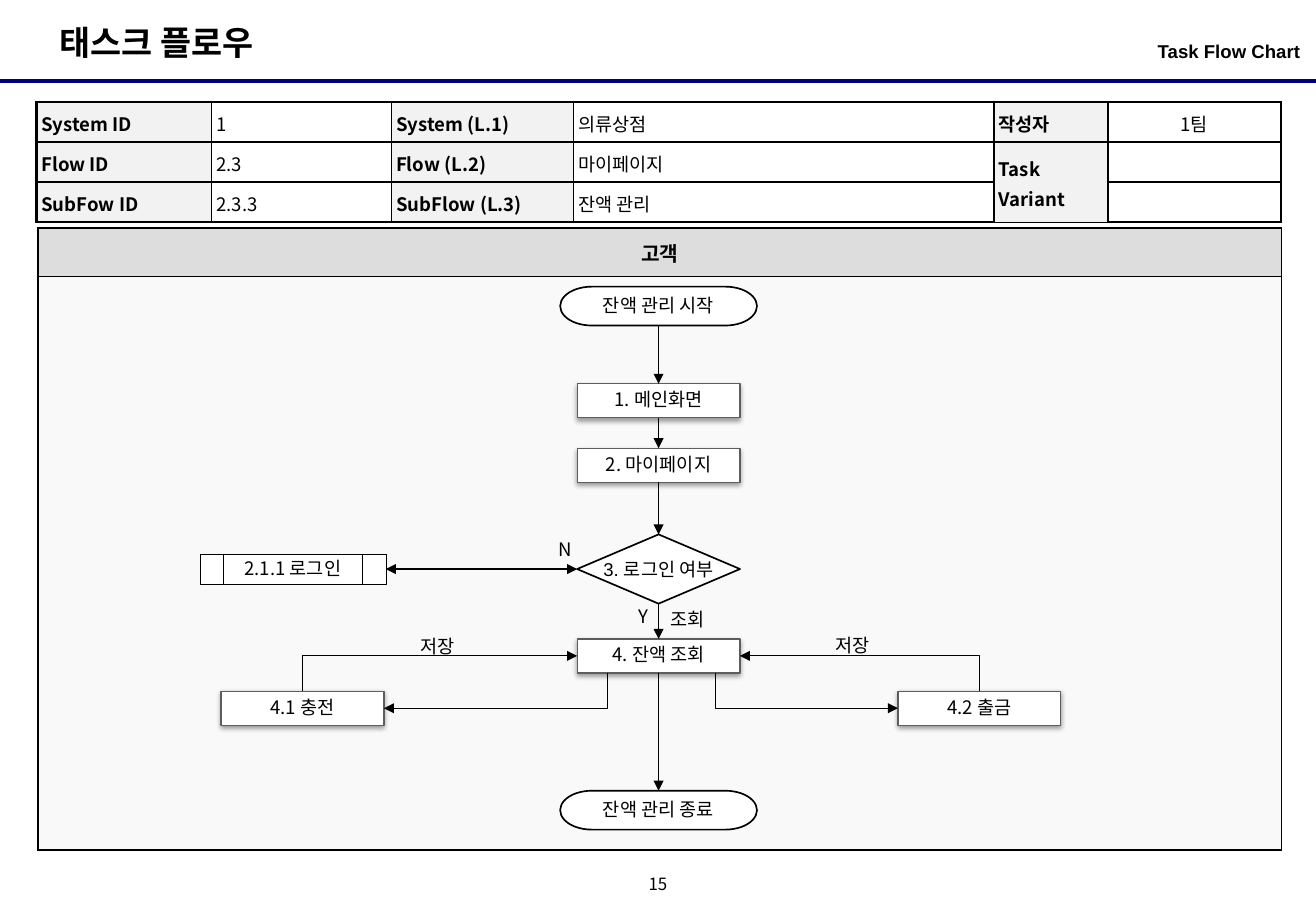
from lxml import etree
from pptx import Presentation
from pptx.dml.color import RGBColor
from pptx.enum.shapes import MSO_CONNECTOR, MSO_SHAPE
from pptx.enum.text import MSO_ANCHOR, PP_ALIGN
from pptx.oxml.ns import qn
from pptx.util import Inches, Pt

LINE, ELBOW = MSO_CONNECTOR.STRAIGHT, MSO_CONNECTOR.ELBOW
OVAL = MSO_SHAPE.FLOWCHART_TERMINATOR
STEP = MSO_SHAPE.FLOWCHART_PROCESS
TEST = MSO_SHAPE.FLOWCHART_DECISION
CALL = MSO_SHAPE.FLOWCHART_PREDEFINED_PROCESS
LEFT, MID, RIGHT = PP_ALIGN.LEFT, PP_ALIGN.CENTER, PP_ALIGN.RIGHT
TOP, HALF = MSO_ANCHOR.TOP, MSO_ANCHOR.MIDDLE
NOTO, ARIAL = "Noto Sans CJK KR", "Arial"
BLACK, WHITE, GRAY = "000000", "FFFFFF", "F2F2F2"


def paint(target, color):
    """Fill a shape, cell, line or font with a hex colour."""
    fill = target if hasattr(target, "solid") else target.fill
    fill.solid()
    fill.fore_color.rgb = RGBColor.from_string(color)


def add(parent, tag, **attrs):
    """Append a drawing element to its parent."""
    node = etree.SubElement(parent, qn(tag))
    for key, value in attrs.items():
        node.set(key, str(value))
    return node


def write(frame, text, size=11, bold=False, align=LEFT, face=NOTO, space=None):
    """Set the one paragraph of a text frame."""
    para = frame.paragraphs[0]
    para.text = text
    para.alignment = align
    if space:
        para.line_spacing = space
    font = para.font
    font.size, font.bold, font.name = Pt(size), bold, face
    paint(font, BLACK)
    add(para._p.pPr.find(qn("a:defRPr")), "a:ea", typeface=NOTO)
    if not text:
        add(para._p, "a:endParaRPr", sz=size * 100)


def inset(frame, side, edge):
    """Set the side and edge margins of a text frame or cell."""
    frame.margin_left = frame.margin_right = Inches(side)
    frame.margin_top = frame.margin_bottom = Inches(edge)


def label(slide, box, text, side=0.1, edge=0.05, anchor=TOP, **style):
    """Place a text box."""
    frame = slide.shapes.add_textbox(*map(Inches, box)).text_frame
    frame.word_wrap = True
    frame.vertical_anchor = anchor
    inset(frame, side, edge)
    write(frame, text, **style)


def rule(slide, start, end, kind=LINE, color=BLACK, width=0.75):
    """Draw a plain line between two points."""
    line = slide.shapes.add_connector(kind, *map(Inches, (*start, *end)))
    paint(line.line, color)
    line.line.width = Pt(width)
    add(line._element.spPr, "a:effectLst")
    return line


def tip(line, *ends):
    """Put arrowheads on a line."""
    for end in ends:
        add(line._element.spPr.find(qn("a:ln")), end, type="triangle")


def link(slide, first, out, last, into, *ends):
    """Join the sides of two shapes with a straight arrow."""
    line = rule(slide, (0, 0), (1, 1))
    line.begin_connect(first, out)
    line.end_connect(last, into)
    tip(line, *ends, "a:tailEnd")


def bend(slide, start, end):
    """Draw an arrow that runs upright first, then level."""
    line = rule(slide, start, end, ELBOW)
    shape = line._element.spPr.find(qn("a:prstGeom"))
    add(shape.find(qn("a:avLst")), "a:gd", name="adj1", fmla="val 0")
    tip(line, "a:tailEnd")


def node(slide, kind, center, top, size, text, edge=BLACK, width=1):
    """Place a flow shape centred on a given x."""
    wide, high = size
    box = (center - wide / 2, top, wide, high)
    shape = slide.shapes.add_shape(kind, *map(Inches, box))
    shape.shadow.inherit = False
    paint(shape, WHITE)
    paint(shape.line, edge)
    shape.line.width = Pt(width)
    frame = shape.text_frame
    frame.vertical_anchor = HALF
    frame.word_wrap = kind != TEST
    plain = kind in (OVAL, TEST)
    if plain:
        inset(frame, 0.02, 0)
    write(frame, text, align=MID, face=ARIAL if plain else NOTO,
          space=None if kind == TEST else 0.9)
    return shape


def step(slide, center, top, text):
    """Place a process box with a soft shadow."""
    shape = node(slide, STEP, center, top, (1.34, 0.28), text, "5D5D5D", 0.75)
    glow = shape._element.spPr.find(qn("a:effectLst"))
    shade = add(glow, "a:outerShdw", blurRad=Pt(3.1), dist=Pt(1.6),
                dir=5400000, algn="t", rotWithShape=0)
    add(add(shade, "a:srgbClr", val=BLACK), "a:alpha", val=38000)
    return shape


def border(cell, *widths):
    """Draw the left, right, top and bottom borders of a cell."""
    props = cell._tc.get_or_add_tcPr()
    for spot, (side, width) in enumerate(zip("LRTB", widths)):
        line = etree.Element(qn(f"a:ln{side}"), w=str(Pt(width)))
        add(add(line, "a:solidFill"), "a:srgbClr", val=BLACK)
        props.insert(spot, line)


def grid(slide, box, cols, rows):
    """Add a bare table with the given column and row sizes."""
    table = slide.shapes.add_table(len(rows), len(cols), *map(Inches, box)).table
    table.first_row = table.horz_banding = False
    for col, wide in zip(table.columns, cols):
        col.width = Inches(wide)
    for row, high in zip(table.rows, rows):
        row.height = Inches(high)
    return table


def header(slide, box):
    """Place the title, the caption and the rule below them."""
    x, y, wide, high = box
    label(slide, (x + 0.39, y + 0.13, 4, 0.44), "태스크 플로우", size=20, bold=True)
    label(slide, (x + wide - 3.44, y + 0.28, 3.31, 0.39), "Task Flow Chart",
          side=0, bold=True, align=RIGHT, face=ARIAL)
    rule(slide, (x, y + high), (x + wide, y + high), color="000080", width=2.25)


def facts(slide, box):
    """Place the table that identifies the flow."""
    data = [
        ("System ID", "1", "System (L.1)", "의류상점", "작성자", "1팀"),
        ("Flow ID", "2.3", "Flow (L.2)", "마이페이지", "Task Variant", ""),
        ("SubFow ID", "2.3.3", "SubFlow (L.3)", "잔액 관리", "", ""),
    ]
    table = grid(slide, box, (1.44, 1.48, 1.5, 3.46, 0.94, 1.42), [box[3] / 3] * 3)
    table.cell(1, 4).merge(table.cell(2, 4))
    for r, row in enumerate(data):
        for c, text in enumerate(row):
            cell = table.cell(r, c)
            name = c % 2 == 0
            inset(cell, 0.04, 0.04)
            cell.vertical_anchor = HALF if c > 3 else TOP
            write(cell.text_frame, text, bold=name,
                  align=MID if c == 5 else LEFT, space=1.1)
            paint(cell, GRAY if name else WHITE)
            border(cell, 1.5 if c == 0 else 1, 1.5 if c == 5 else 1,
                   1.5 if r == 0 else 1, 1.5 if r == 2 else 1)


def panel(slide, box):
    """Place the lane with its heading."""
    table = grid(slide, box, [box[2]], [0.4, box[3] - 0.4])
    head, body = table.cell(0, 0), table.cell(1, 0)
    head.vertical_anchor = HALF
    write(head.text_frame, "고객", size=12, bold=True, align=MID)
    paint(head, "DDDDDD")
    paint(body, "F9F9F9")
    border(head, 1.5, 0.75, 1.5, 0.75)
    border(body, 1.5, 0.75, 0.75, 1.5)


def flow(slide, box):
    """Place the flow chart inside the lane."""
    x, y, wide, high = box
    mid, west, east = x + 5.11, x + 2.18, x + 7.75
    start = node(slide, OVAL, mid, y + 0.48, (1.62, 0.32), "잔액 관리 시작")
    main = step(slide, mid, y + 1.28, "1. 메인화면")
    mine = step(slide, mid, y + 1.81, "2. 마이페이지")
    test = node(slide, TEST, mid, y + 2.52, (1.34, 0.57), "3. 로그인 여부")
    login = node(slide, CALL, x + 2.1, y + 2.68, (1.53, 0.25), "2.1.1 로그인",
                 width=0.25)
    view = step(slide, mid, y + 3.38, "4. 잔액 조회")
    step(slide, west, y + 3.81, "4.1 충전")
    step(slide, east, y + 3.81, "4.2 출금")
    end = node(slide, OVAL, mid, y + high - 0.49, (1.62, 0.32), "잔액 관리 종료")

    chain = (start, main, mine, test, view, end)
    for first, last in zip(chain, chain[1:]):
        link(slide, first, 2, last, 0)
    link(slide, login, 3, test, 1, "a:headEnd")

    for side, far, port in ((-1, west, mid - 0.42), (1, east, mid + 0.47)):
        bend(slide, (port, y + 3.66), (far - side * 0.67, y + 3.95))
        bend(slide, (far, y + 3.81), (mid + side * 0.67, y + 3.52))

    for left, top, span, text in (
        (4.19, 2.5, 0.5, "N"), (4.85, 3.05, 0.25, "Y"), (5.11, 3.08, 0.65, "조회"),
        (3.05, 3.3, 0.52, "저장"), (6.47, 3.29, 0.59, "저장"),
    ):
        label(slide, (x + left, y + top, span, 0.29), text)


def main():
    """Build the slide and save it."""
    deck = Presentation()
    deck.slide_width, deck.slide_height = Inches(10.83), Inches(7.5)
    slide = deck.slides.add_slide(deck.slide_layouts[6])
    lane = (0.31, 1.88, 10.24, 5.12)
    header(slide, (0, 0, 10.83, 0.67))
    facts(slide, (0.3, 0.84, 10.24, 0.99))
    panel(slide, lane)
    flow(slide, lane)
    label(slide, (5.25, 7.17, 0.33, 0.25), "15", side=0, edge=0, anchor=HALF,
          size=10, align=MID, space=0.8)
    deck.save("out.pptx")


if __name__ == "__main__":
    main()
